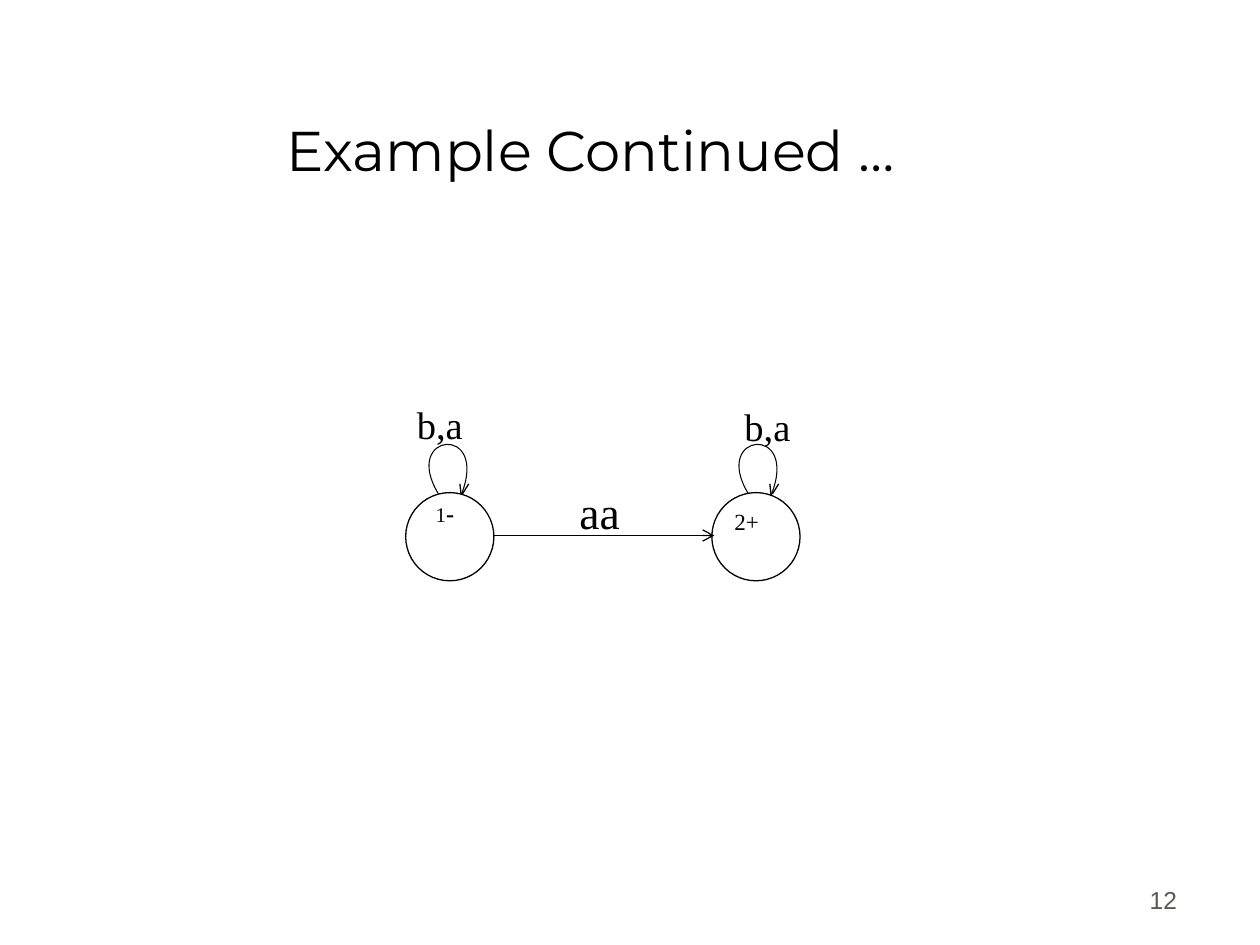
from lxml.etree import SubElement
from pptx import Presentation
from pptx.dml.color import RGBColor
from pptx.enum.shapes import MSO_CONNECTOR as Connector, MSO_SHAPE as Shape
from pptx.enum.text import MSO_ANCHOR as Anchor, MSO_AUTO_SIZE as AutoSize, PP_ALIGN as Align
from pptx.oxml.ns import qn
from pptx.util import Inches, Pt

BLACK = RGBColor(0x00, 0x00, 0x00)
WHITE = RGBColor(0xFF, 0xFF, 0xFF)
GREY = RGBColor(0x5E, 0x57, 0x4E)
SERIF = "Times New Roman"

LOOP_CURVE = [(3.48, 3.92), (3.18, 3.43), (3.89, 3.36), (3.66, 3.93)]
LOOP_BARBS = [[(3.67, 3.92), (3.72, 3.84)], [(3.65, 3.84), (3.66, 3.93)]]
LOOP_SHIFT = 2.46
STATE_SIZE = 0.7


def apply(target, values):
    """Set each attribute in values on the target."""
    for name, value in values.items():
        setattr(target, name, value)


def write(text_frame, runs, paragraph_format=None):
    """Fill the first paragraph with (text, font values) runs."""
    paragraph = text_frame.paragraphs[0]
    apply(paragraph, paragraph_format or {})
    for text, font_format in runs:
        run = paragraph.add_run()
        run.text = text
        values = {"name": SERIF, **font_format}
        run.font.color.rgb = values.pop("color", BLACK)
        apply(run.font, values)


def add_text(slide, box, runs, paragraph_format=None, anchor=Anchor.TOP):
    """Add a wrapping text box."""
    text_frame = slide.shapes.add_textbox(*map(Inches, box)).text_frame
    apply(text_frame, {"word_wrap": True, "vertical_anchor": anchor})
    write(text_frame, runs, paragraph_format)


def set_title(slide, text):
    """Place and format the title placeholder."""
    title = slide.shapes.title
    box = {"left": 0.44, "top": 0.25, "width": 8.5, "height": 1.25}
    apply(title, {name: Inches(value) for name, value in box.items()})
    apply(title.text_frame, {"vertical_anchor": Anchor.BOTTOM, "auto_size": AutoSize.NONE})
    font_format = {"name": "Montserrat", "size": Pt(32)}
    write(title.text_frame, [(text, font_format)], {"alignment": Align.CENTER})


def set_line(shape, width):
    """Give a shape or connector a black line."""
    shape.line.color.rgb = BLACK
    shape.line.width = Pt(width)


def add_stroke(slide, points, width):
    """Add an open, unfilled outline through the points."""
    start, *rest = [(Inches(x), Inches(y)) for x, y in points]
    builder = slide.shapes.build_freeform(*start)
    builder.add_line_segments(rest, close=False)
    stroke = builder.convert_to_shape()
    stroke.shadow.inherit = False
    stroke.fill.background()
    set_line(stroke, width)
    return stroke


def add_loop(slide, shift):
    """Add a self-loop as a cubic curve with two arrow barbs."""
    def moved(points):
        return [(x + shift, y) for x, y in points]

    curve = add_stroke(slide, moved(LOOP_CURVE), 0.6)
    segments = list(curve._element.iter(qn("a:lnTo")))
    outline = segments[0].getparent()
    bezier = SubElement(outline, qn("a:cubicBezTo"))
    for segment in segments:
        bezier.append(segment[0])
        outline.remove(segment)
    for barb in LOOP_BARBS:
        add_stroke(slide, moved(barb), 0.75)


def add_state(slide, left, top):
    """Add a state circle."""
    box = map(Inches, (left, top, STATE_SIZE, STATE_SIZE))
    state = slide.shapes.add_shape(Shape.OVAL, *box)
    state.shadow.inherit = False
    state.fill.solid()
    state.fill.fore_color.rgb = WHITE
    set_line(state, 0.75)


def add_arrow(slide, start, end):
    """Add a straight line with an open arrowhead at its end."""
    ends = map(Inches, (*start, *end))
    arrow = slide.shapes.add_connector(Connector.STRAIGHT, *ends)
    set_line(arrow, 0.75)
    SubElement(arrow.line._get_or_add_ln(), qn("a:tailEnd"), type="arrow")
    SubElement(arrow._element.spPr, qn("a:effectLst"))


def main():
    """Build the slide and save it."""
    presentation = Presentation()
    apply(presentation, {"slide_width": Inches(10), "slide_height": Inches(7.5)})
    slide = presentation.slides.add_slide(presentation.slide_layouts[5])

    set_title(slide, "Example Continued …")
    add_text(slide, (7.36, 6.81, 2.08, 0.5),
             [("12", {"name": "Arial", "size": Pt(14), "color": GREY})],
             {"alignment": Align.RIGHT}, Anchor.BOTTOM)

    for shift, state_left in ((0, 3.22), (LOOP_SHIFT, 5.65)):
        add_loop(slide, shift)
        add_state(slide, state_left, 3.91)
    add_arrow(slide, (3.92, 4.25), (5.67, 4.25))

    tight = {"line_spacing": 0.8}
    add_text(slide, (3.36, 3.95, 0.87, 0.36),
             [("1", {"size": Pt(11.9)}), ("-", {"size": Pt(13.8), "bold": True})], tight)
    add_text(slide, (5.73, 4.02, 0.77, 0.34), [("2+", {"size": Pt(13.2)})], tight)

    for left, top, label, size in ((3.21, 3.13, "b,a", 22),
                                   (5.81, 3.15, "b,a", 22),
                                   (4.5, 3.79, "aa", 26)):
        add_text(slide, (left, top, 0.98, 0.67), [(label, {"size": Pt(size)})])

    presentation.save("out.pptx")


if __name__ == "__main__":
    main()
